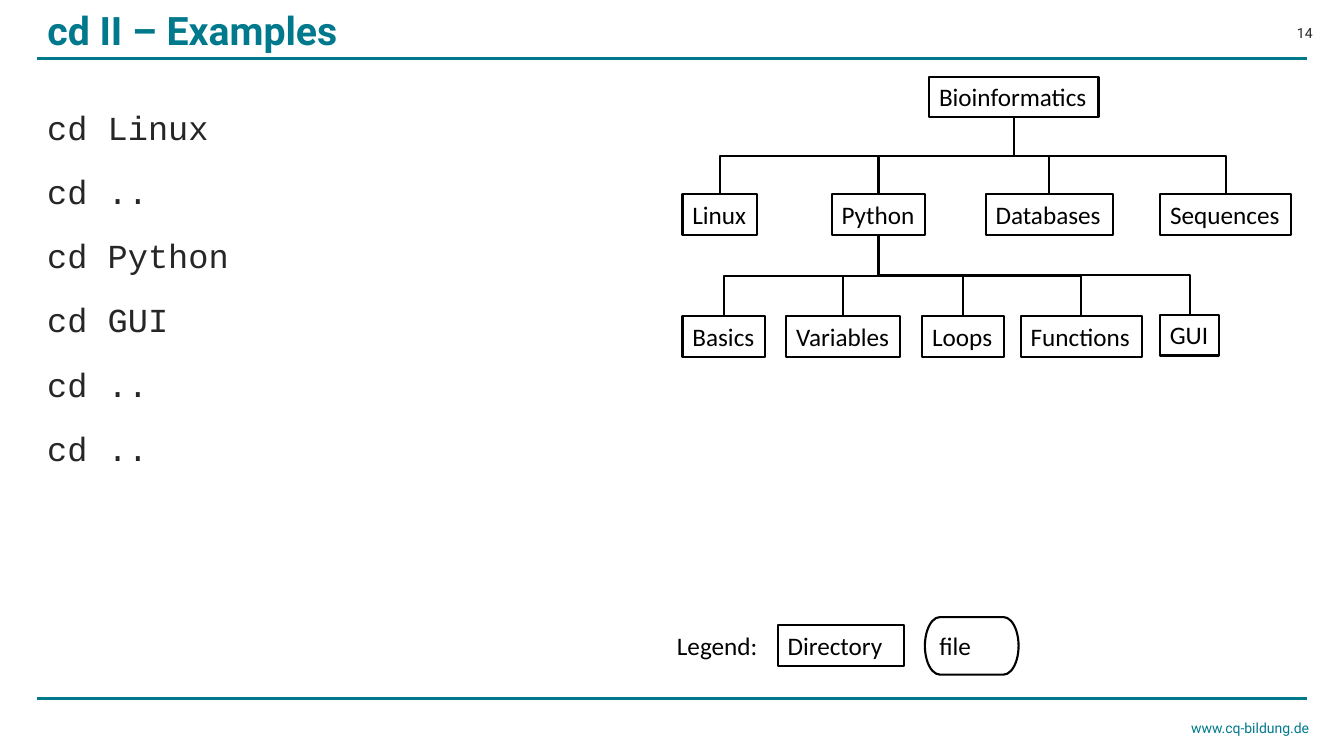
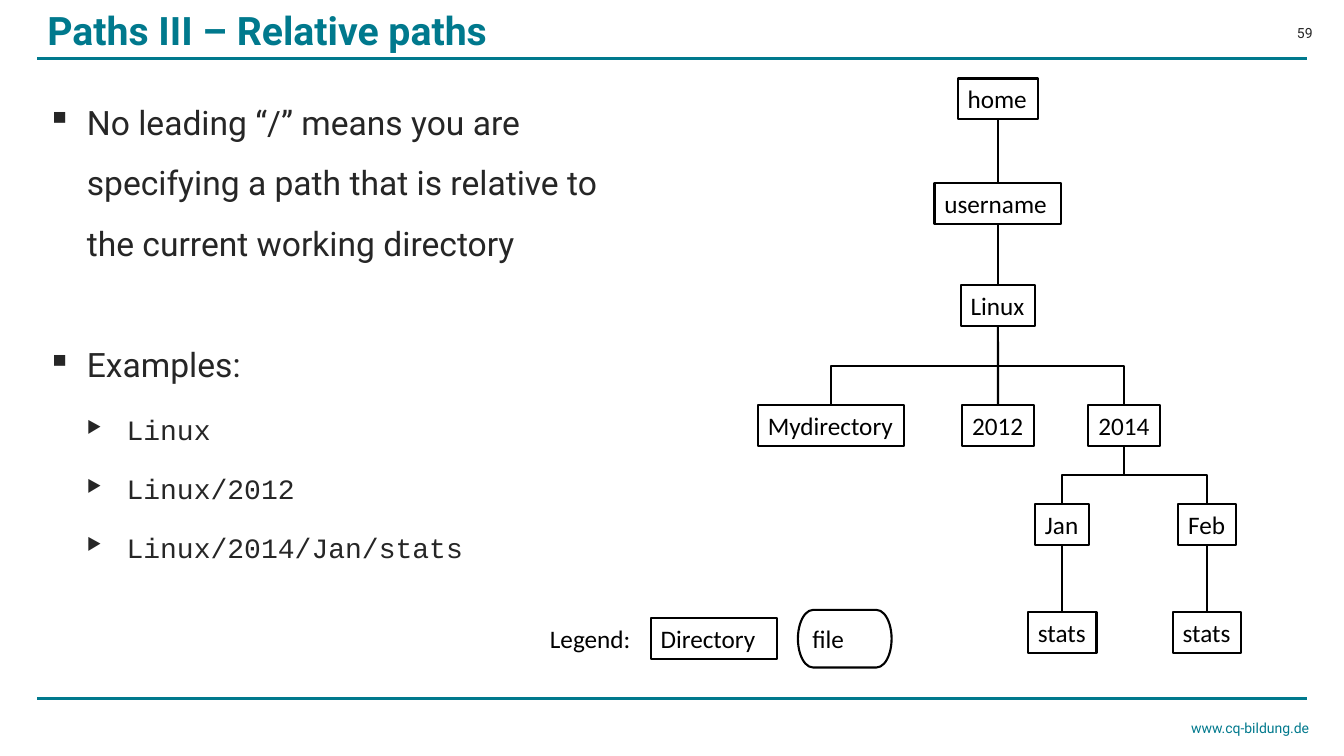
from dataclasses import dataclass, field

from lxml import etree
from pptx import Presentation
from pptx.dml.color import RGBColor
from pptx.enum.shapes import MSO_CONNECTOR, MSO_SHAPE
from pptx.enum.text import MSO_ANCHOR, MSO_AUTO_SIZE, PP_ALIGN
from pptx.oxml.ns import qn
from pptx.util import Cm, Pt

LEFT, RIGHT = PP_ALIGN.LEFT, PP_ALIGN.RIGHT
TOP, MIDDLE = MSO_ANCHOR.TOP, MSO_ANCHOR.MIDDLE
NO_FIT, GROW = MSO_AUTO_SIZE.NONE, MSO_AUTO_SIZE.SHAPE_TO_FIT_TEXT
STRAIGHT, ELBOW = MSO_CONNECTOR.STRAIGHT, MSO_CONNECTOR.ELBOW
RECTANGLE, TERMINATOR = MSO_SHAPE.RECTANGLE, MSO_SHAPE.FLOWCHART_TERMINATOR
TITLE_ONLY = 5
BOTTOM_SITE, TOP_SITE = 2, 0


@dataclass(frozen=True)
class Theme:
    accent: RGBColor = RGBColor(0x00, 0x79, 0x8D)
    ink: RGBColor = RGBColor(0x26, 0x26, 0x26)
    black: RGBColor = RGBColor(0x00, 0x00, 0x00)
    white: RGBColor = RGBColor(0xFF, 0xFF, 0xFF)
    text_font: str = "Roboto"
    code_font: str = "Courier New"
    diagram_font: str = "Calibri"
    title_size: int = 28
    body_size: int = 24
    sub_size: int = 20
    diagram_size: int = 18
    small_size: int = 10
    rule_width: float = 2
    diagram_line: float = 1.5
    node_height: float = 1.03


THEME = Theme()


@dataclass(frozen=True)
class Node:
    """A directory box: centre, top and width in centimetres."""
    label: str
    center: float
    top: float
    width: float
    children: list["Node"] = field(default_factory=list)


@dataclass(frozen=True)
class Line:
    """One paragraph of the body; space before in points."""
    text: str
    font: str = THEME.text_font
    size: int = THEME.body_size
    space: float = 0
    bullet: str = ""
    bullet_percent: int = 100
    level: int = 0


@dataclass(frozen=True)
class Page:
    title: str
    number: str
    body_top: float
    lines: list[Line]
    tree: Node
    legend_left: float
    legend_top: float


def code(text: str, space: float = 2.7) -> Line:
    return Line(text, THEME.code_font, space=space)


def point(text: str, space: float = 0) -> Line:
    return Line(text, space=space, bullet="▪")


def example(text: str, space: float = 6) -> Line:
    return Line(text, THEME.code_font, THEME.sub_size, space, "▶", 60, 1)


PAGES = [
    Page(
        "cd II – Examples", "14", 2.05,
        [code("cd Linux", 0), code("cd .."), code("cd Python"),
         code("cd GUI"), code("cd .."), code("cd ..")],
        Node("Bioinformatics", 25.55, 1.93, 4.27, [
            Node("Linux", 18.14, 4.89, 1.88),
            Node("Python", 22.14, 4.89, 2.36, [
                Node("Basics", 18.24, 7.97, 2.08),
                Node("Variables", 21.25, 7.97, 2.87),
                Node("Loops", 24.27, 7.97, 2.06),
                Node("Functions", 27.25, 7.97, 3.05),
                Node("GUI", 29.98, 7.93, 1.5),
            ]),
            Node("Databases", 26.44, 4.89, 3.2),
            Node("Sequences", 30.89, 4.89, 3.3),
        ]),
        16.81, 15.75,
    ),
    Page(
        "Paths III – Relative paths", "59", 1.93,
        [point("No leading “/” means you are specifying a path that is "
               "relative to the current working directory"),
         point("Examples:", 43.6),
         example("Linux", 8), example("Linux/2012"),
         example("Linux/2014/Jan/stats")],
        Node("home", 25.15, 1.98, 2.03, [
            Node("username", 25.15, 4.62, 3.2, [
                Node("Linux", 25.15, 7.19, 1.88, [
                    Node("Mydirectory", 20.94, 10.21, 3.68),
                    Node("2012", 25.15, 10.21, 1.8),
                    Node("2014", 28.33, 10.21, 1.8, [
                        Node("Jan", 26.77, 12.7, 1.37,
                             [Node("stats", 26.77, 15.42, 1.73)]),
                        Node("Feb", 30.42, 12.7, 1.45,
                             [Node("stats", 30.42, 15.42, 1.73)]),
                    ]),
                ]),
            ]),
        ]),
        13.61, 15.57,
    ),
]


def write(paragraph, text: str, *, font: str = THEME.diagram_font,
          size: int = THEME.diagram_size, color: RGBColor = THEME.black,
          bold: bool = False, align=LEFT) -> None:
    paragraph.alignment = align
    run = paragraph.add_run()
    run.text = text
    run.font.name = font
    run.font.size = Pt(size)
    run.font.bold = bold
    run.font.color.rgb = color


def set_frame(shape, *, anchor=TOP, wrap: bool = True, fit=NO_FIT):
    frame = shape.text_frame
    frame.word_wrap = wrap
    frame.auto_size = fit
    frame.vertical_anchor = anchor
    return frame


def place(shape, left: float, top: float, width: float, height: float) -> None:
    shape.left, shape.top = Cm(left), Cm(top)
    shape.width, shape.height = Cm(width), Cm(height)


def add_label(shapes, text: str, left: float, top: float, width: float,
              height: float, *, anchor=TOP, wrap: bool = True, **style) -> None:
    box = shapes.add_textbox(Cm(left), Cm(top), Cm(width), Cm(height))
    frame = set_frame(box, anchor=anchor, wrap=wrap)
    write(frame.paragraphs[0], text, **style)


def add_box(shapes, kind, text: str, left: float, top: float, width: float,
            height: float = THEME.node_height, *, wrap: bool = True,
            filled: bool = False):
    box = shapes.add_shape(kind, Cm(left), Cm(top), Cm(width), Cm(height))
    box.shadow.inherit = False
    if filled:
        box.fill.solid()
        box.fill.fore_color.rgb = THEME.white
    else:
        box.fill.background()
    box.line.color.rgb = THEME.black
    box.line.width = Pt(THEME.diagram_line)
    write(set_frame(box, wrap=wrap, fit=GROW).paragraphs[0], text)
    return box


def style_connector(connector, color: RGBColor, width: float) -> None:
    connector.line.color.rgb = color
    connector.line.width = Pt(width)
    etree.SubElement(connector._element.spPr, qn("a:effectLst"))


def add_branch(shapes, parent: Node, parent_box, child: Node, child_box) -> None:
    """Join two boxes, leaving and arriving vertically."""
    start = parent.top + THEME.node_height
    drop, shift = child.top - start, child.center - parent.center
    connector = shapes.add_connector(
        ELBOW if shift else STRAIGHT, Cm(parent.center), Cm(start),
        Cm(child.center), Cm(child.top))
    connector.begin_connect(parent_box, BOTTOM_SITE)
    connector.end_connect(child_box, TOP_SITE)
    if shift:
        # An elbow runs sideways first, so it is turned a quarter.
        middle_x, middle_y = parent.center + shift / 2, start + drop / 2
        place(connector, middle_x - drop / 2, middle_y - abs(shift) / 2,
              drop, abs(shift))
        transform = connector._element.spPr.xfrm
        transform.rot = 270 if shift > 0 else 90
        transform.flipH = shift > 0
    style_connector(connector, THEME.black, THEME.diagram_line)


def add_tree(shapes, node: Node):
    box = add_box(shapes, RECTANGLE, node.label, node.center - node.width / 2,
                  node.top, node.width, wrap=False)
    for child in node.children:
        add_branch(shapes, node, box, child, add_tree(shapes, child))
    return box


def add_legend(slide, left: float, top: float) -> None:
    shapes = slide.shapes.add_group_shape().shapes
    add_box(shapes, RECTANGLE, "Directory", left + 2.79, top, 3.18, filled=True)
    add_box(shapes, TERMINATOR, "file", left + 6.5, top - 0.2, 2.36, 1.45)
    add_label(shapes, "Legend:", left, top, 2.57, THEME.node_height, wrap=False)


def add_bullet(paragraph, line: Line) -> None:
    properties = paragraph._p.get_or_add_pPr()
    properties.set("marL", str(Cm(1 + line.level)))
    properties.set("indent", str(-Cm(1)))
    size = etree.SubElement(properties, qn("a:buSzPct"))
    size.set("val", str(line.bullet_percent * 1000))
    etree.SubElement(properties, qn("a:buChar")).set("char", line.bullet)


def add_body(slide, lines: list[Line], top: float) -> None:
    box = slide.shapes.add_textbox(Cm(0.94), Cm(top), Cm(15.6), Cm(15.5))
    frame = set_frame(box)
    for index, line in enumerate(lines):
        paragraph = frame.add_paragraph() if index else frame.paragraphs[0]
        if line.bullet:
            add_bullet(paragraph, line)
        paragraph.level = line.level
        paragraph.line_spacing = 1.5
        if line.space:
            paragraph.space_before = Pt(line.space)
        write(paragraph, line.text, font=line.font, size=line.size,
              color=THEME.ink)


def add_frame(slide, title: str, number: str) -> None:
    """Title, rules, page number and web address shared by all slides."""
    for height in (1.47, 17.6):
        rule = slide.shapes.add_connector(
            STRAIGHT, Cm(0.94), Cm(height), Cm(32.94), Cm(height))
        style_connector(rule, THEME.accent, THEME.rule_width)
    small = dict(font=THEME.text_font, size=THEME.small_size, align=RIGHT,
                 anchor=MIDDLE)
    add_label(slide.shapes, "www.cq-bildung.de", 28.19, 18.01, 5.05, 0.69,
              color=THEME.accent, **small)
    add_label(slide.shapes, number, 31.6, 0.51, 1.73, 0.66,
              color=THEME.ink, **small)
    heading = slide.shapes.title
    place(heading, 0.94, 0.15, 29.06, 1.19)
    write(set_frame(heading, anchor=MIDDLE).paragraphs[0], title,
          font=THEME.text_font, size=THEME.title_size, color=THEME.accent,
          bold=True)


def main() -> None:
    presentation = Presentation()
    presentation.slide_width, presentation.slide_height = Cm(33.87), Cm(19.05)
    layout = presentation.slide_layouts[TITLE_ONLY]
    for page in PAGES:
        slide = presentation.slides.add_slide(layout)
        add_frame(slide, page.title, page.number)
        add_body(slide, page.lines, page.body_top)
        add_tree(slide.shapes, page.tree)
        add_legend(slide, page.legend_left, page.legend_top)
    presentation.save("out.pptx")


if __name__ == "__main__":
    main()
